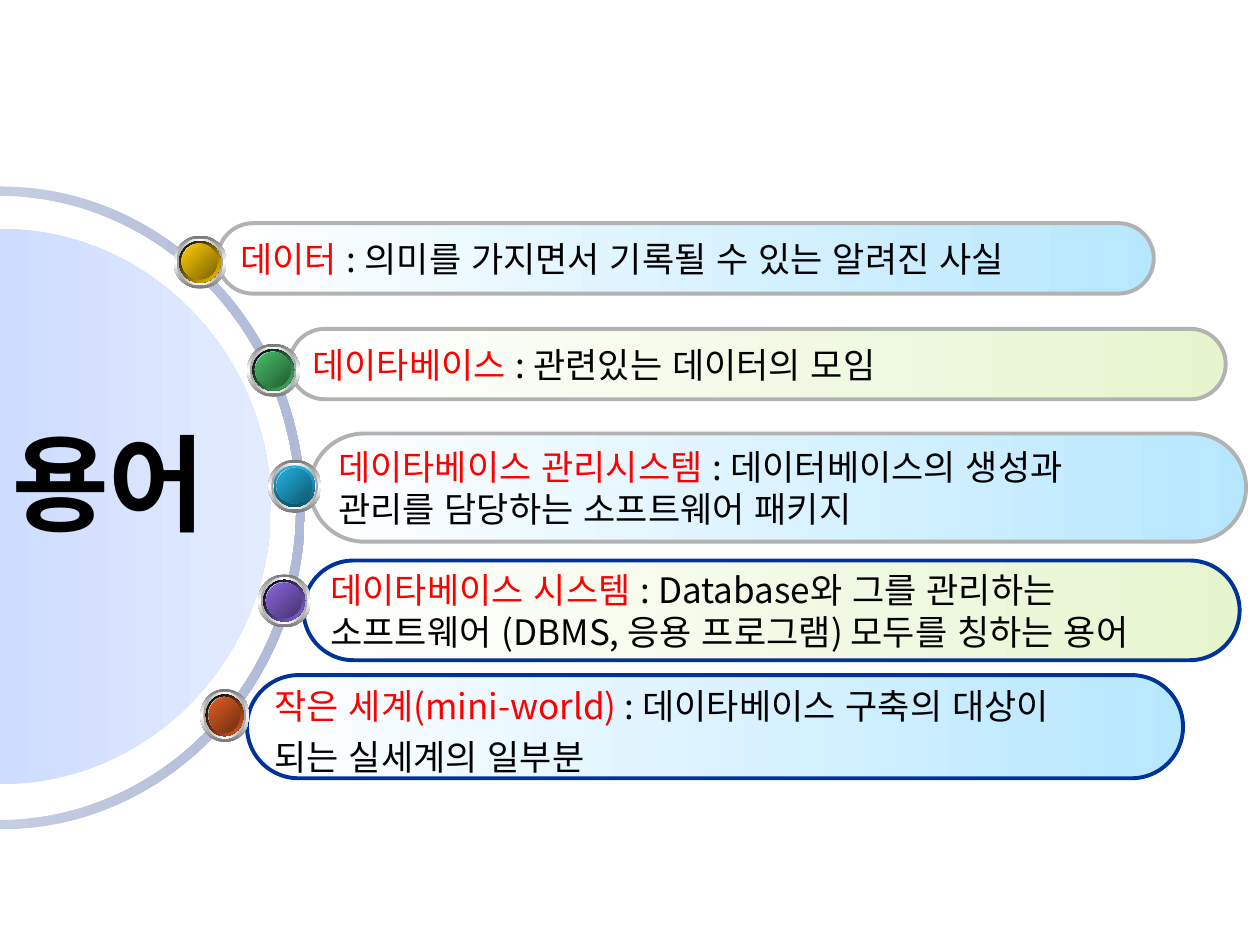
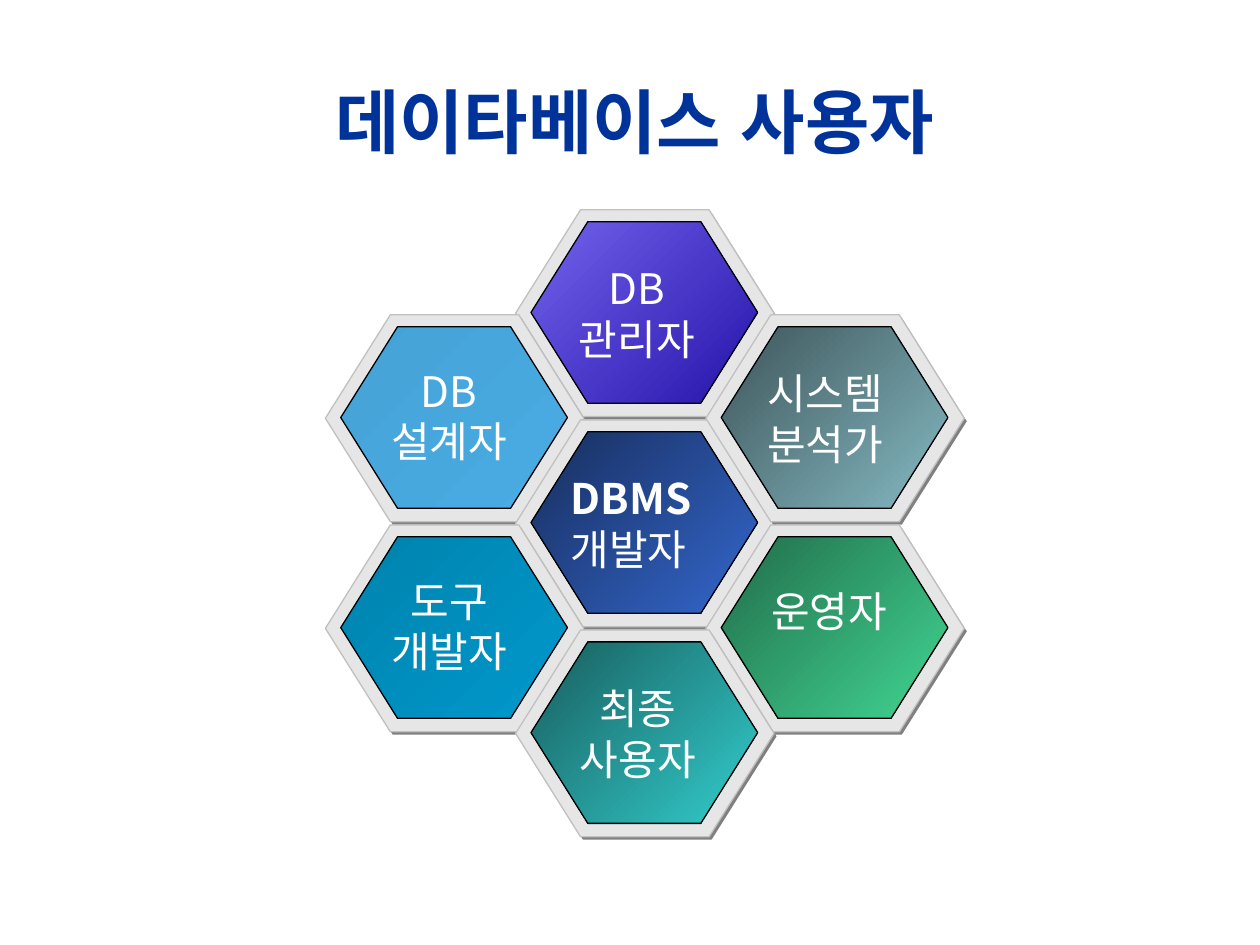
from lxml.etree import SubElement
from pptx import Presentation
from pptx.dml.color import RGBColor
from pptx.enum.lang import MSO_LANGUAGE_ID as Language
from pptx.enum.shapes import MSO_SHAPE as Preset
from pptx.enum.text import MSO_ANCHOR as Anchor, MSO_AUTO_SIZE as AutoSize, PP_ALIGN as Align
from pptx.oxml.ns import qn
from pptx.util import Cm, Pt

FONT = "Noto Sans CJK KR"
BLACK, WHITE, RED, NAVY, SILVER = "000000", "FFFFFF", "FF0000", "003399", "B2B2B2"
SKY, LIME = "B7E7FF", "E7F5CF"

PILL_WIDTH = 18.87
PILLS = [
    (4.98, 13.61, 2.08, SKY, NAVY, 1.2, "작은 세계(mini-world) ",
     ": 데이타베이스 구축의 대상이", "되는 실세계의 일부분"),
    (6.12, 11.3, 2.01, LIME, NAVY, None, "데이타베이스 시스템 ",
     ": Database와 그를 관리하는", "소프트웨어 (DBMS, 응용 프로그램) 모두를 칭하는 용어"),
    (6.25, 8.74, 2.18, SKY, SILVER, None, "데이타베이스 관리시스템 ",
     ": 데이터베이스의 생성과", "관리를 담당하는 소프트웨어 패키지"),
    (5.84, 6.63, 1.42, LIME, SILVER, None, "데이타베이스 ",
     ": 관련있는 데이터의 모임"),
    (4.39, 4.5, 1.42, SKY, SILVER, None, "데이터 ",
     ": 의미를 가지면서 기록될 수 있는 알려진 사실"),
]
BEAD_SIZE = 1.07
BEADS = [
    (3.5, 4.75, BEAD_SIZE, (BLACK, "FFCC00"), 45, ("FFCC00", "7C6300")),
    (4.98, 6.93, BEAD_SIZE, (BLACK, "48BE67"), 45, ("48BE67", "235C32")),
    (5.41, 9.27, BEAD_SIZE, ("21B3E1", "0F5368"), 90, ("21B3E1", "10576D")),
    (5.2, 11.58, BEAD_SIZE, (BLACK, "8D67E1"), 45, ("8D67E1", "45326D")),
    (4.04, 13.89, 0.99, (BLACK, "E35E23"), 45, ("E35E23", "6E2E11")),
]

HEX_LEFT, HEX_TOP = 6.56, 4.23
COLUMN_STEP, ROW_STEP = 7.67 / 2, 8.47 / 4
USERS = [
    (1, 0, ("7262EC", "2614AA"), (0.97, 0.94), Align.CENTER, ["DB", "관리자"]),
    (0, 1, ("45A2D6", "49ACE3"), (1.02, 0.89), Align.CENTER, ["DB", "설계자"]),
    (1, 2, ("182F5E", "3366CC"), (0.86, 0.94), Align.LEFT, ["DBMS", "개발자"]),
    (2, 1, ("3E565A", "85B9C3"), (0.99, 0.94), Align.LEFT, ["시스템", "분석가"]),
    (2, 3, ("216D4B", "41D592"), (1.07, 1.09), Align.LEFT, ["운영자"]),
    (0, 3, ("0082AD", "0099CC"), (1.02, 0.89), Align.CENTER, ["도구", "개발자"]),
    (1, 4, ("185E5E", "33CCCC"), (0.99, 0.94), Align.CENTER, ["최종", "사용자"]),
]


def color(value):
    return RGBColor.from_string(value)


def paint(shape, colors, angle=0, line=None, weight=0.75):
    shape.shadow.inherit = False
    if isinstance(colors, str):
        shape.fill.solid()
        shape.fill.fore_color.rgb = color(colors)
    else:
        shape.fill.gradient()
        gradient = shape._element.spPr.find(qn("a:gradFill"))
        for child in list(gradient):
            gradient.remove(child)
        stops = SubElement(gradient, qn("a:gsLst"))
        for index, value in enumerate(colors):
            position = 100000 * index // (len(colors) - 1)
            stop = SubElement(stops, qn("a:gs"), pos=str(position))
            SubElement(stop, qn("a:srgbClr"), val=value)
        SubElement(gradient, qn("a:lin"), ang=str(angle * 60000), scaled="0")
    if line:
        shape.line.color.rgb = color(line)
        shape.line.width = Pt(weight)
    else:
        shape.line.fill.background()


def add_preset(shapes, preset, left, top, width, height, colors, adjust=None, **style):
    shape = shapes.add_shape(preset, Cm(left), Cm(top), Cm(width), Cm(height))
    if adjust is not None:
        shape.adjustments[0] = adjust
    paint(shape, colors, **style)
    return shape


def add_span(para, text, size=20, ink=BLACK, bold=False):
    span = para.add_run()
    span.text = text
    span.font.size = Pt(size)
    span.font.bold = bold
    span.font.language_id = Language.KOREAN
    span.font.color.rgb = color(ink)
    span.font.name = FONT
    SubElement(span.font._element, qn("a:ea"), typeface=FONT)


def write(frame, lines, align=Align.LEFT, spacing=None, wrap=False, anchor=Anchor.MIDDLE):
    frame.word_wrap = wrap
    frame.vertical_anchor = anchor
    for index, spans in enumerate(lines):
        para = frame.add_paragraph() if index else frame.paragraphs[0]
        para.alignment = align
        if spacing:
            para.line_spacing = spacing
        for text, style in spans:
            add_span(para, text, **style)


def add_text(shapes, left, top, width, height, lines, **layout):
    box = shapes.add_textbox(Cm(left), Cm(top), Cm(width), Cm(height))
    write(box.text_frame, lines, **layout)
    return box


def half_ellipse(middle, across, down):
    pull = 0.55
    unit = [(0, -1), (pull, -1), (1, -pull), (1, 0), (1, pull), (pull, 1), (0, 1)]
    return [(Cm(across * x), Cm(middle + down * y)) for x, y in unit]


def add_outline(page, colors, *arcs):
    points = sum(arcs, [])
    builder = page.shapes.build_freeform(*points[0])
    builder.add_line_segments(points[1:], close=True)
    shape = builder.convert_to_shape()
    outline = next(shape._element.iter(qn("a:path")))
    lines = outline.findall(qn("a:lnTo"))
    for arc in range(len(arcs)):
        for start in (7 * arc, 7 * arc + 3):
            curve = SubElement(outline, qn("a:cubicBezTo"))
            outline.replace(lines[start], curve)
            for line in lines[start:start + 3]:
                curve.append(line[0])
            for line in lines[start + 1:start + 3]:
                outline.remove(line)
    paint(shape, colors)


def add_pill(page, left, top, height, tint, border, spacing, term, meaning, *more):
    pill = add_preset(page.shapes, Preset.ROUNDED_RECTANGLE, left, top, PILL_WIDTH, height,
                      (WHITE, tint), adjust=0.5, line=border, weight=2.25)
    first = [(term, {"ink": RED}), (meaning, {})]
    write(pill.text_frame, [first] + [[(text, {})] for text in more], spacing=spacing)


def add_bead(page, left, top, width, rim, rim_angle, core):
    shapes = page.shapes.add_group_shape().shapes
    layers = [
        (0, 0, ("767676", WHITE, "767676"), 90),
        (0.06, 0.13, ("A2A2A2", WHITE, "A2A2A2"), 0),
        (0.11, 0.23, (WHITE, "CCECFF", WHITE), 45),
        (0.11, 0.23, rim, rim_angle),
        (0.16, 0.35, ("6E808A", "CCECFF", "6E808A"), 315),
        (0.17, 0.36, core, 45),
    ]
    for inset, shrink, colors, angle in layers:
        add_preset(shapes, Preset.OVAL, left + inset, top + inset, width - shrink,
                   BEAD_SIZE - shrink, colors, angle=angle)


def add_user(shapes, column, row, colors, offset, align, names):
    left, top = HEX_LEFT + column * COLUMN_STEP, HEX_TOP + row * ROW_STEP
    add_preset(shapes, Preset.HEXAGON, left + 0.05, top + 0.06, 5.21, 4.17, "808080", adjust=0.314)
    add_preset(shapes, Preset.HEXAGON, left, top, 5.21, 4.17, "E6E6E6", adjust=0.314, line="C0C0C0")
    add_preset(shapes, Preset.HEXAGON, left + 0.31, top + 0.24, 4.57, 3.66, colors,
               adjust=0.313, angle=45, line=BLACK)
    lines = [[(name, {"size": 24, "ink": WHITE, "bold": name == "DBMS"})] for name in names]
    box = add_text(shapes, left + offset[0], top + offset[1], 3.02 if "DBMS" in names else 2.95,
                   0.25 + 1.02 * len(names), lines, align=align, anchor=Anchor.TOP)
    box.text_frame.auto_size = AutoSize.SHAPE_TO_FIT_TEXT


def build_terms(page):
    add_outline(page, ("C5CDE2", "B0BAD8"),
                half_ellipse(10.24, 6.15, 6.48), half_ellipse(10.24, 5.97, 6.29)[::-1])
    add_outline(page, ("CEDCFF", "E3EBFF"), half_ellipse(10.21, 5.46, 5.6))
    for pill in PILLS:
        add_pill(page, *pill)
    for bead in BEADS:
        add_bead(page, *bead)
    add_text(page.shapes, 0, 8.94, 5.56, 1.55, [[("용어", {"size": 60, "bold": True})]], wrap=True)


def build_users(page):
    title = [[("데이타베이스 사용자", {"size": 40, "ink": NAVY, "bold": True})]]
    add_text(page.shapes, 1.9, 1.7, 21.79, 1.47, title, align=Align.CENTER, wrap=True)
    honeycomb = page.shapes.add_group_shape().shapes
    for user in USERS:
        add_user(honeycomb, *user)


def main():
    deck = Presentation()
    deck.slide_width, deck.slide_height = Cm(25.4), Cm(19.05)
    for build in (build_terms, build_users):
        build(deck.slides.add_slide(deck.slide_layouts[6]))
    deck.save("out.pptx")


if __name__ == "__main__":
    main()
